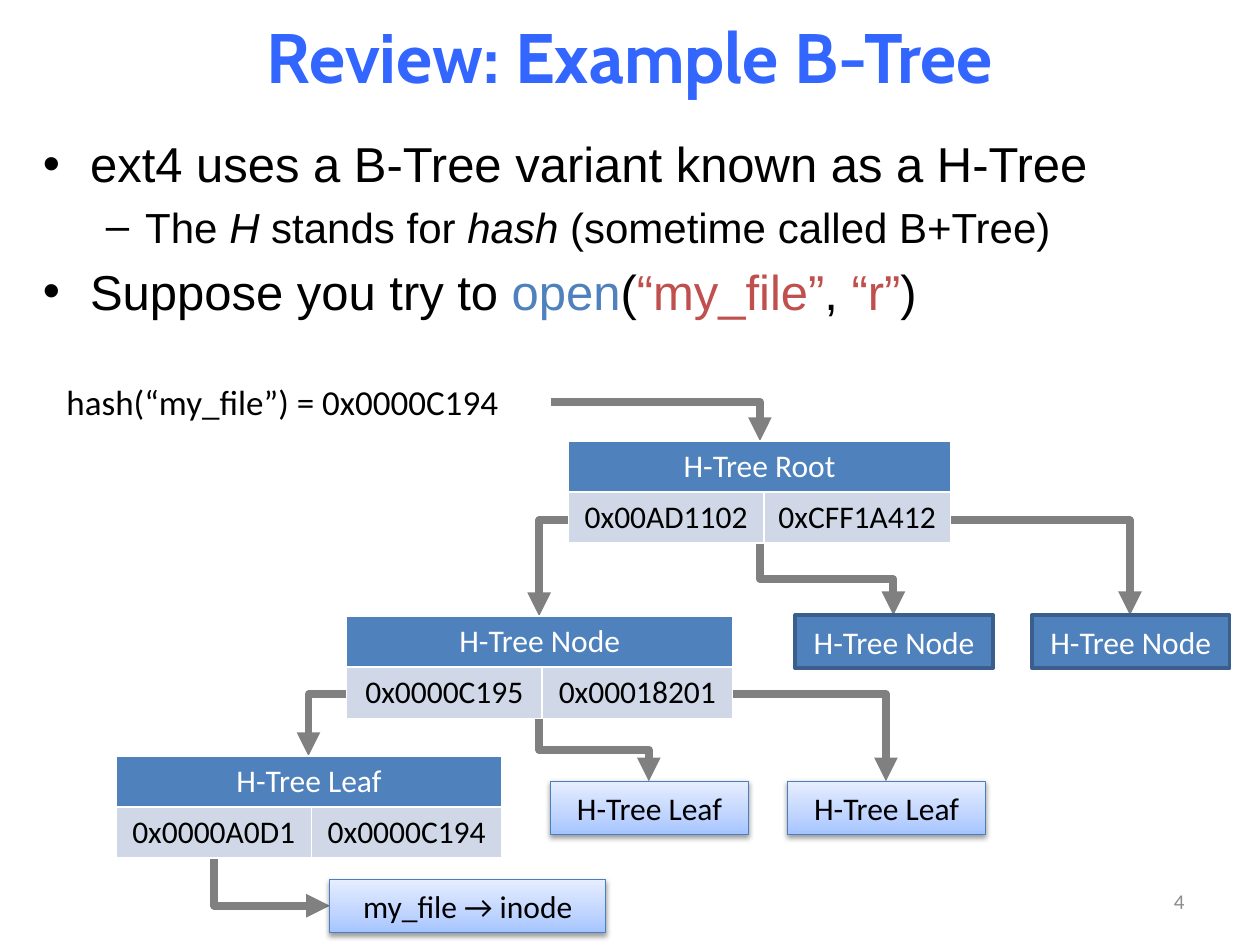
from pptx import Presentation
from pptx.dml.color import RGBColor
from pptx.enum.shapes import MSO_CONNECTOR, MSO_SHAPE
from pptx.enum.text import MSO_ANCHOR, MSO_AUTO_SIZE, PP_ALIGN
from pptx.oxml import parse_xml
from pptx.oxml.ns import nsdecls, qn
from pptx.util import Cm, Pt

ELBOW = MSO_CONNECTOR.ELBOW
RECTANGLE = MSO_SHAPE.RECTANGLE
MIDDLE = MSO_ANCHOR.MIDDLE
NO_FIT = MSO_AUTO_SIZE.NONE
LEFT, CENTER, RIGHT = PP_ALIGN.LEFT, PP_ALIGN.CENTER, PP_ALIGN.RIGHT

COLORS = {
    "title": "3366FF", "black": "000000", "white": "FFFFFF",
    "blue": "4F81BD", "red": "C0504D", "cell": "D0D8E8",
    "node_edge": "3A5F8C", "leaf_edge": "4B7EBC",
    "arrow": "808080", "number": "8C8C8C",
}
LEAF_STOPS = [(0, "A4C4FF"), (35, "BFD4FF"), (100, "E6EEFF")]
BOX_WIDTH, BOX_HEIGHT = 3.99, 1.07
ROW_HEIGHT = 1.03
NODE_TOP, LEAF_TOP = 12.4, 15.75


def rgb(name):
    return RGBColor.from_string(COLORS[name])


def style(para, size, color="black", font="Calibri", align=None, bold=None):
    para.font.size = Pt(size)
    para.font.name = font
    para.font.color.rgb = rgb(color)
    para.font.bold = bold
    para.alignment = align


def place(shape, left, top, width, height):
    shape.left, shape.top = Cm(left), Cm(top)
    shape.width, shape.height = Cm(width), Cm(height)


def fill_title(slide):
    title = slide.shapes.title
    place(title, 1.27, 0, 22.86, 2.24)
    frame = title.text_frame
    frame.text = "Review: Example B-Tree"
    frame.vertical_anchor = MIDDLE
    frame.auto_size = NO_FIT
    style(frame.paragraphs[0], 40, "title", "Cabin", CENTER, True)


def fill_body(slide):
    """Fill the list; each item is (level, size, [(text, color, italic)])."""
    items = [
        (0, 28, [("ext4 uses a B-Tree variant known as a H-Tree", None, None)]),
        (1, 24, [("The ", None, None), ("H", None, True),
                 (" stands for ", None, None), ("hash ", None, True),
                 ("(sometime called B+Tree)", None, None)]),
        (0, 28, [("Suppose you try to ", None, None), ("open", "blue", None),
                 ("(", None, None), ("“my_file”", "red", None),
                 (", ", None, None), ("“r”", "red", None), (")", None, None)]),
    ]
    body = slide.placeholders[1]
    place(body, 0.61, 2.57, 24.1, 4.95)
    frame = body.text_frame
    frame.auto_size = NO_FIT
    for index, (level, size, spans) in enumerate(items):
        para = frame.add_paragraph() if index else frame.paragraphs[0]
        para.level = level
        style(para, size, font="Arial")
        for text, color, italic in spans:
            span = para.add_run()
            span.text = text
            span.font.italic = italic
            if color:
                span.font.color.rgb = rgb(color)


def add_label(slide, text, bounds, size, color, align, wrap):
    box = slide.shapes.add_textbox(*map(Cm, bounds))
    frame = box.text_frame
    frame.word_wrap = wrap
    frame.vertical_anchor = MIDDLE
    frame.text = text
    style(frame.paragraphs[0], size, color, align=align)


def add_box(slide, text, left, top, width, edge, edge_width, color):
    box = slide.shapes.add_shape(
        RECTANGLE, Cm(left), Cm(top), Cm(width), Cm(BOX_HEIGHT))
    box.shadow.inherit = False
    box.line.color.rgb = rgb(edge)
    box.line.width = Pt(edge_width)
    frame = box.text_frame
    frame.vertical_anchor = MIDDLE
    frame.text = text
    style(frame.paragraphs[0], 18, color, align=CENTER)
    return box


def add_node(slide, left):
    box = add_box(slide, "H-Tree Node", left, NODE_TOP, BOX_WIDTH,
                  "node_edge", 2, "white")
    box.fill.solid()
    box.fill.fore_color.rgb = rgb("blue")


def add_leaf(slide, text, left, top=LEAF_TOP, width=BOX_WIDTH):
    """Add a box with a vertical gradient and a soft shadow below."""
    box = add_box(slide, text, left, top, width, "leaf_edge", 0.75, "black")
    box.fill.gradient()
    properties = box._element.spPr
    stops = "".join(
        f'<a:gs pos="{pos * 1000}"><a:srgbClr val="{color}"/></a:gs>'
        for pos, color in LEAF_STOPS)
    gradient = parse_xml(
        f'<a:gradFill {nsdecls("a")} rotWithShape="1"><a:gsLst>{stops}</a:gsLst>'
        '<a:lin ang="16200000" scaled="0"/></a:gradFill>')
    properties.replace(properties.find(qn("a:gradFill")), gradient)
    properties.find(qn("a:effectLst")).append(parse_xml(
        f'<a:outerShdw {nsdecls("a")} blurRad="{Pt(3.1)}" dist="{Pt(1.6)}" '
        'dir="5400000" rotWithShape="0"><a:srgbClr val="000000">'
        '<a:alpha val="38000"/></a:srgbClr></a:outerShdw>'))


def add_arrow(slide, start, end):
    connector = slide.shapes.add_connector(ELBOW, *map(Cm, start + end))
    connector.line.color.rgb = rgb("arrow")
    connector.line.width = Pt(4.5)
    properties = connector._element.spPr
    properties.find(qn("a:ln")).append(
        parse_xml(f'<a:tailEnd {nsdecls("a")} type="triangle"/>'))
    properties.append(parse_xml(f'<a:effectLst {nsdecls("a")}/>'))
    return properties


def add_corner_arrow(slide, start, end):
    """Run sideways, then down."""
    properties = add_arrow(slide, start, end)
    properties.find(qn("a:prstGeom")).set("prst", "bentConnector2")


def add_drop_arrow(slide, start, end):
    """Run down, across to the right and down again."""
    middle_x, middle_y = (start[0] + end[0]) / 2, (start[1] + end[1]) / 2
    half_x, half_y = (end[0] - start[0]) / 2, (end[1] - start[1]) / 2
    properties = add_arrow(slide, (middle_x - half_y, middle_y - half_x),
                           (middle_x + half_y, middle_y + half_x))
    transform = properties.find(qn("a:xfrm"))
    transform.set("rot", "16200000")
    transform.set("flipH", "1")


def add_step_arrow(slide, start, end, bend):
    """Run right, down and right again, turning at the share bend."""
    properties = add_arrow(slide, start, end)
    guides = properties.find(qn("a:prstGeom")).get_or_add_avLst()
    guides.append(parse_xml(
        f'<a:gd {nsdecls("a")} name="adj1" fmla="val {round(bend * 100000)}"/>'))


def add_tree_table(slide, heading, keys, left, top, widths):
    table = slide.shapes.add_table(
        2, 2, Cm(left), Cm(top), Cm(sum(widths)), Cm(2 * ROW_HEIGHT)).table
    for column, width in zip(table.columns, widths):
        column.width = Cm(width)
    for row in table.rows:
        row.height = Cm(ROW_HEIGHT)
    table.cell(0, 0).merge(table.cell(0, 1))
    looks = [((heading, ""), "blue", "white"), (keys, "cell", "black")]
    for row, (texts, fill, color) in enumerate(looks):
        for column, text in enumerate(texts):
            cell = table.cell(row, column)
            cell.fill.solid()
            cell.fill.fore_color.rgb = rgb(fill)
            cell.text = text
            style(cell.text_frame.paragraphs[0], 18, color,
                  align=CENTER, bold=False)


def main():
    deck = Presentation()
    deck.slide_width, deck.slide_height = Cm(25.4), Cm(19.05)
    slide = deck.slides.add_slide(deck.slide_layouts[1])
    fill_title(slide)
    fill_body(slide)
    add_label(slide, "4", (18.21, 17.65, 5.92, 1.02), 12, "number", RIGHT, True)
    add_label(slide, "hash(“my_file”) = 0x0000C194", (1.09, 7.54, 9.3, 1.12),
              20, "black", LEFT, False)

    for start, end in [((11.1, 8.1), (15.32, 8.89)),
                       ((17.86, 10.49), (22.78, NODE_TOP)),
                       ((13.11, 10.49), (10.87, 12.42)),
                       ((13.11, 14), (17.86, LEAF_TOP)),
                       ((8.33, 14), (6.22, 15.24))]:
        add_corner_arrow(slide, start, end)
    add_drop_arrow(slide, (15.32, 10.95), (18.01, NODE_TOP))
    add_drop_arrow(slide, (10.87, 14.48), (13.08, LEAF_TOP))
    add_step_arrow(slide, (3.81, 16.89), (6.65, 18.26), 0.18)

    for left in (16.03, 20.8):
        add_node(slide, left)
    for left in (11.1, 15.88):
        add_leaf(slide, "H-Tree Leaf", left)
    add_leaf(slide, "my_file → inode", 6.65, 17.73, 5.56)

    add_tree_table(slide, "H-Tree Root", ("0x00AD1102", "0xCFF1A412"),
                   11.46, 8.89, (3.94, 3.76))
    add_tree_table(slide, "H-Tree Node", ("0x0000C195", "0x00018201"),
                   6.99, 12.42, (3.94, 3.84))
    add_tree_table(slide, "H-Tree Leaf", ("0x0000A0D1", "0x0000C194"),
                   2.34, 15.24, (3.94, 3.84))
    deck.save("out.pptx")


if __name__ == "__main__":
    main()
